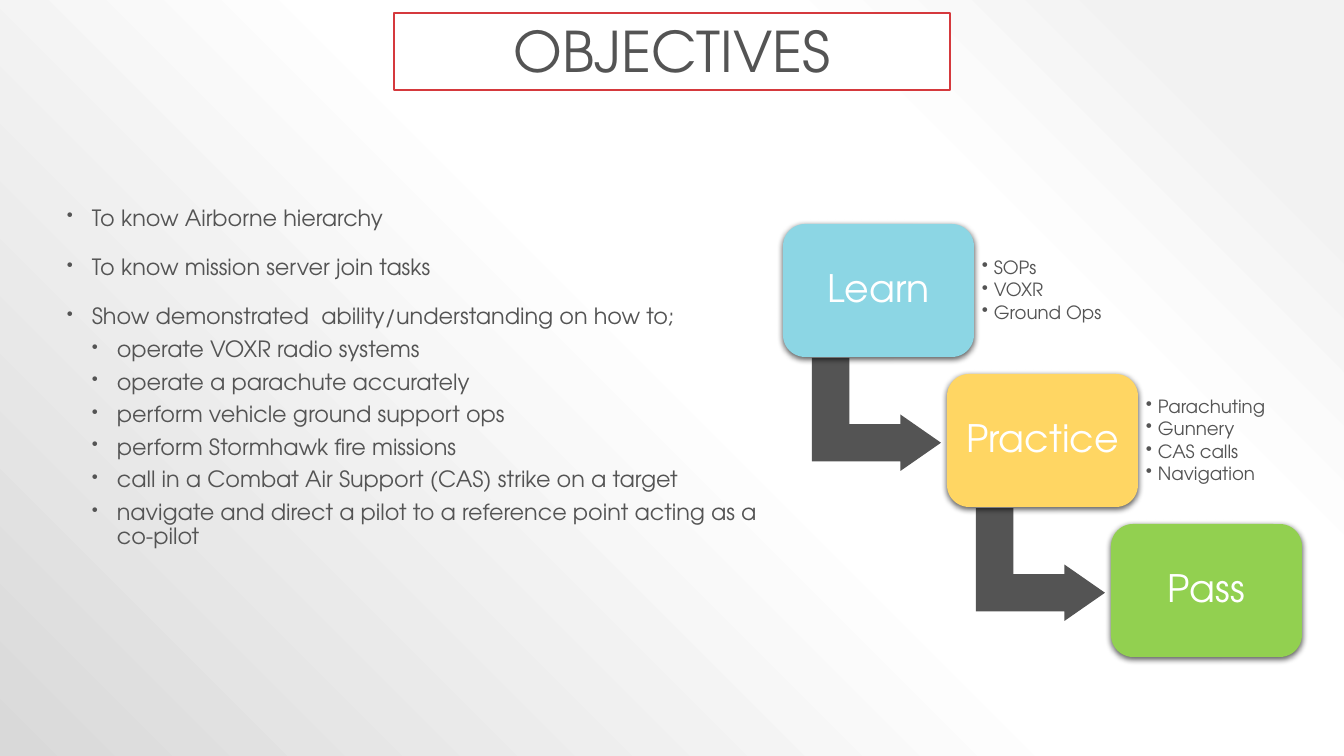
from pptx import Presentation, util as u
from pptx.dml.color import RGBColor
from pptx.enum import shapes, text
from pptx.oxml import parse_xml
from pptx.oxml.ns import nsdecls

# Content
TITLE = "OBJECTIVES"
OBJECTIVES = [
    (0, "To know Airborne hierarchy"),
    (0, "To know mission server join tasks"),
    (0, "Show demonstrated  ability/understanding on how to;"),
    (1, "operate VOXR radio systems"),
    (1, "operate a parachute accurately"),
    (1, "perform vehicle ground support ops"),
    (1, "perform Stormhawk fire missions"),
    (1, "call in a Combat Air Support (CAS) strike on a target"),
    (1, "navigate and direct a pilot to a reference point acting as a co-pilot"),
]
STAGES = [
    ("Learn", "learn", ["SOPs", "VOXR", "Ground Ops"]),
    ("Practice", "practice", ["Parachuting", "Gunnery", "CAS calls", "Navigation"]),
    ("Pass", "pass", []),
]

# Style
COLORS = {"ink": "545454", "white": "FFFFFF", "frame": "D5393D",
          "learn": "8CD6E4", "practice": "FFD663", "pass": "92D050"}
BACKGROUND = [(10, "F2F2F2"), (28, "FFFFFF"), (48, "FFFFFF"), (100, "D9D9D9")]
FONT = "TeX Gyre Adventor"
PX = 914400 / 100.8

# Layout in px
TITLE_BOX = (394, 13, 556, 77)
OBJECTIVES_BOX = (52, 202, 723, 479)
STAGE_LEFT, STAGE_TOP, STAGE_W, STAGE_H = 783, 224, 191, 133
STEP_X, STEP_Y = 164, 150
ARROW_DX, ARROW_DY, ARROW_W, ARROW_H = 37, 126, 113, 129
NOTES_DX, NOTES_DY, NOTES_W, NOTES_H = 192, 13, 150, 108


def px(*lengths):
    return [u.Emu(round(n * PX)) for n in lengths]


def rgb(name):
    return RGBColor.from_string(COLORS[name])


def add_block(preset, box, fill):
    block = slide.shapes.add_shape(preset, *px(*box))
    block.shadow.inherit = False
    block.fill.solid()
    block.fill.fore_color.rgb = rgb(fill)
    block.line.fill.background()
    return block


def set_up_frame(frame, anchor, margin=None):
    frame.word_wrap = True
    frame.vertical_anchor = anchor
    if margin is not None:
        frame.margin_left, frame.margin_top, frame.margin_right, frame.margin_bottom = px(*[margin] * 4)


def style(paragraph, size, color, align=text.PP_ALIGN.LEFT):
    paragraph.alignment = align
    paragraph.line_spacing = 0.9
    paragraph.font.size = u.Pt(size)
    paragraph.font.name = FONT
    paragraph.font.color.rgb = rgb(color)


def add_bullet(paragraph, indent, hanging, percent):
    props = paragraph._p.get_or_add_pPr()
    left, hang = px(indent, hanging)
    props.set("marL", str(left))
    props.set("indent", str(-hang))
    for xml in (f'<a:buClr {nsdecls("a")}><a:srgbClr val="{COLORS["ink"]}"/></a:buClr>',
                f'<a:buSzPct {nsdecls("a")} val="{percent * 1000}"/>',
                f'<a:buChar {nsdecls("a")} char="•"/>'):
        props.append(parse_xml(xml))


def add_lines(frame, lines):
    for number, line in enumerate(lines):
        paragraph = frame.add_paragraph() if number else frame.paragraphs[0]
        paragraph.text = line
        yield paragraph


deck = Presentation()
deck.slide_width, deck.slide_height = px(1344, 756)
slide = deck.slides.add_slide(deck.slide_layouts[6])

# Background gradient
slide.background.fill.solid()
bg_props = slide._element.cSld.bg.bgPr
stops = "".join(f'<a:gs pos="{pos * 1000}"><a:srgbClr val="{color}"/></a:gs>'
                for pos, color in BACKGROUND)
bg_props.replace(bg_props[0], parse_xml(
    f'<a:gradFill {nsdecls("a")} rotWithShape="1"><a:gsLst>{stops}</a:gsLst>'
    '<a:path path="circle"><a:fillToRect l="100000" b="100000"/></a:path></a:gradFill>'))

# Title
title = add_block(shapes.MSO_SHAPE.RECTANGLE, TITLE_BOX, "white")
title.line.color.rgb = rgb("frame")
title.line.width = u.Pt(1)
set_up_frame(title.text_frame, text.MSO_ANCHOR.BOTTOM)
title.text_frame.text = TITLE
style(title.text_frame.paragraphs[0], 40, "ink", text.PP_ALIGN.CENTER)

# Objectives list
objectives = slide.shapes.add_textbox(*px(*OBJECTIVES_BOX)).text_frame
set_up_frame(objectives, text.MSO_ANCHOR.TOP)
lines = add_lines(objectives, [line for _, line in OBJECTIVES])
for (level, _), paragraph in zip(OBJECTIVES, lines):
    paragraph.level = level
    add_bullet(paragraph, 30 + 25 * level, 25, 80)
    paragraph.space_before = u.Pt(6 if level else 18)
    style(paragraph, 16, "ink")

# Descending stages: arrow, box, notes
for number, (name, color, notes) in enumerate(STAGES):
    left, top = STAGE_LEFT + number * STEP_X, STAGE_TOP + number * STEP_Y
    if number < len(STAGES) - 1:
        arrow = add_block(shapes.MSO_SHAPE.BENT_UP_ARROW,
                          (left + ARROW_DX, top + ARROW_DY, ARROW_W, ARROW_H), "ink")
        arrow.rotation = 90
        for index, value in enumerate((0.33, 0.25, 0.36)):
            arrow.adjustments[index] = value

    stage = add_block(shapes.MSO_SHAPE.ROUNDED_RECTANGLE, (left, top, STAGE_W, STAGE_H), color)
    stage._element.spPr.find("{*}effectLst").append(parse_xml(
        f'<a:outerShdw {nsdecls("a")} blurRad="{u.Pt(4.5)}" dist="{u.Pt(1.5)}" dir="5400000"'
        ' algn="ctr" rotWithShape="0"><a:srgbClr val="000000"><a:alpha val="63000"/>'
        '</a:srgbClr></a:outerShdw>'))
    set_up_frame(stage.text_frame, text.MSO_ANCHOR.MIDDLE, 7)
    stage.text_frame.text = name
    style(stage.text_frame.paragraphs[0], 27, "white", text.PP_ALIGN.CENTER)

    if notes:
        note_box = slide.shapes.add_textbox(
            *px(left + NOTES_DX, top + NOTES_DY, NOTES_W, NOTES_H)).text_frame
        set_up_frame(note_box, text.MSO_ANCHOR.MIDDLE, 7)
        for paragraph in add_lines(note_box, notes):
            add_bullet(paragraph, 12, 12, 100)
            paragraph.space_after = u.Pt(2)
            style(paragraph, 13, "ink")

deck.save("out.pptx")
